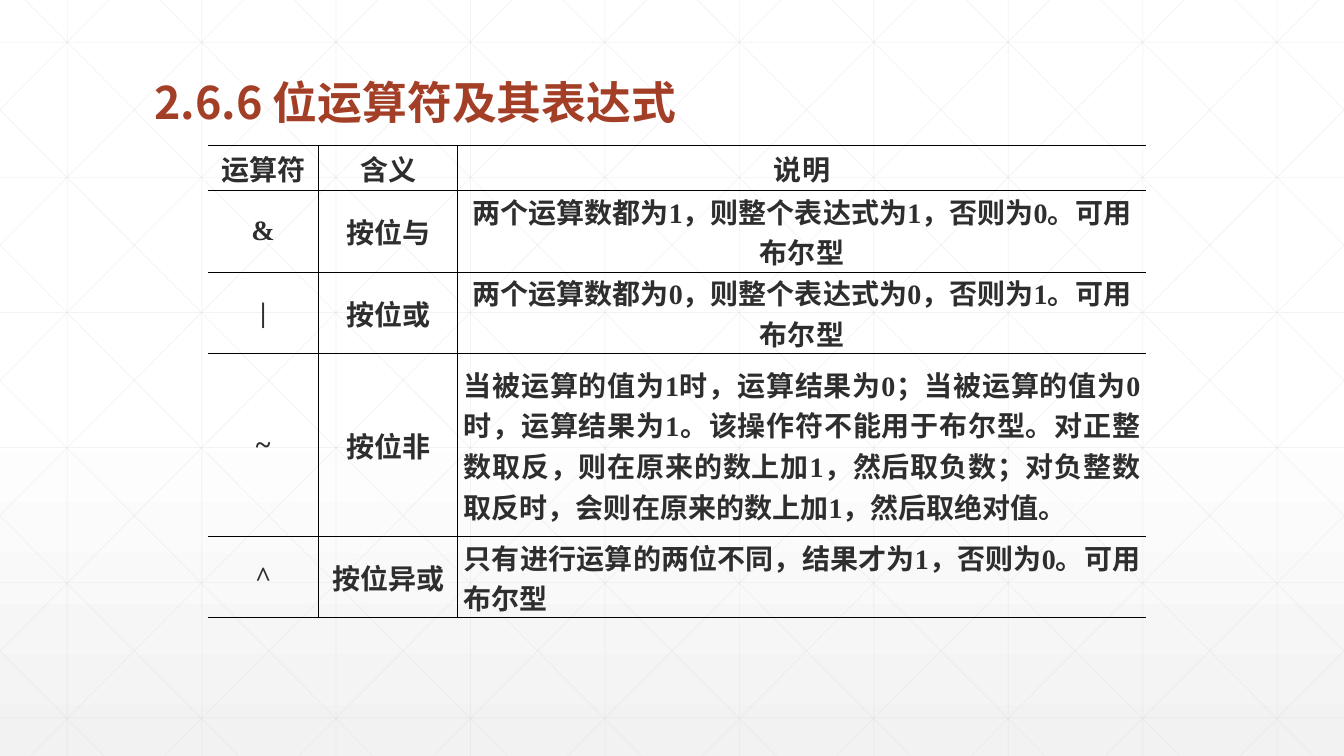
"""Build the slide on bitwise operators and their expressions."""
import copy
from dataclasses import dataclass
from typing import Any, Iterator

import lxml.etree
import pptx
import pptx.dml.color
import pptx.enum.shapes
import pptx.enum.text
import pptx.oxml.ns
import pptx.util

Inches = pptx.util.Inches
Pt = pptx.util.Pt
qn = pptx.oxml.ns.qn
Align = pptx.enum.text.PP_ALIGN
Anchor = pptx.enum.text.MSO_ANCHOR

WIDTH, HEIGHT = 13.33, 7.5
GRID_STEP = 4 / 3
DIAGONAL_RUN = 7.45
CJK_FONT = "Noto Sans CJK SC"
COLOURS = {
    "white": "FFFFFF",
    "haze": "F2F2F2",
    "grid": "D9D9D9",
    "title": "A43F27",
    "text": "2D2E2D",
    "rule": "000000",
}
TITLE_FORMAT = {"name": CJK_FONT, "size": Pt(32), "bold": True}
TABLE_FORMAT = {"name": "Times New Roman", "size": Pt(20), "bold": True}
CELL_FORMAT = {
    "vertical_anchor": Anchor.MIDDLE,
    "margin_left": Inches(0.06),
    "margin_right": Inches(0.06),
    "margin_top": 0,
    "margin_bottom": 0,
}
COLUMN_WIDTHS = [1.1, 1.38, 6.83]


@dataclass
class GridLine:
    """A background line between two points, in inches."""
    x1: float
    y1: float
    x2: float
    y2: float


@dataclass
class OperatorRow:
    """A table row describing one operator."""
    symbol: str
    meaning: str
    description: str
    height: float = 0.81
    description_align: Any = Align.CENTER


OPERATOR_ROWS = [
    OperatorRow("运算符", "含义", "说明", 0.45),
    OperatorRow("&", "按位与", "两个运算数都为1，则整个表达式为1，否则为0。可用布尔型"),
    OperatorRow("|", "按位或", "两个运算数都为0，则整个表达式为0，否则为1。可用布尔型"),
    OperatorRow(
        "~", "按位非",
        "当被运算的值为1时，运算结果为0；当被运算的值为0时，运算结果为1。"
        "该操作符不能用于布尔型。对正整数取反，则在原来的数上加1，然后取负数；"
        "对负整数取反时，会则在原来的数上加1，然后取绝对值。",
        1.81, Align.JUSTIFY),
    OperatorRow("^", "按位异或", "只有进行运算的两位不同，结果才为1，否则为0。可用布尔型",
                description_align=Align.JUSTIFY),
]


def rgb(name: str) -> pptx.dml.color.RGBColor:
    """Return a named colour."""
    return pptx.dml.color.RGBColor.from_string(COLOURS[name])


def apply_format(target: Any, values: dict[str, Any]) -> None:
    """Set each format value on the target."""
    for name, value in values.items():
        setattr(target, name, value)


def write_text(paragraph: Any, text: str, values: dict[str, Any], colour: str) -> None:
    """Write one formatted run with its East Asian font."""
    run = paragraph.add_run()
    run.text = text
    apply_format(run.font, values)
    run.font.color.rgb = rgb(colour)
    east_asian = lxml.etree.SubElement(run._r.get_or_add_rPr(), qn("a:ea"))
    east_asian.set("typeface", CJK_FONT)


def paint_background(slide: Any) -> None:
    """Fade the background from white to light grey."""
    fill = slide.background.fill
    fill.gradient()
    fill.gradient_angle = 270
    stop_list = slide.element.find(".//" + qn("a:gsLst"))
    stop_list.insert(0, copy.deepcopy(stop_list[0]))
    stops = [(0, "white"), (0.53, "white"), (1, "haze")]
    for stop, (position, colour) in zip(fill.gradient_stops, stops):
        stop.position = position
        stop.color.rgb = rgb(colour)


def grid_lines() -> Iterator[GridLine]:
    """Yield the upright, level and mirrored diagonal lines."""
    for index in range(10):
        x = GRID_STEP * (index + 0.5)
        yield GridLine(x, 0, x, HEIGHT)
    for index in range(6):
        y = 0.42 + 1.34 * index
        yield GridLine(0, y, WIDTH, y)
    slope = HEIGHT / DIAGONAL_RUN
    for index in range(-5, 10):
        start = 0.25 + GRID_STEP * index
        left, right = max(start, 0), min(start + DIAGONAL_RUN, WIDTH)
        top, bottom = (left - start) * slope, (right - start) * slope
        yield GridLine(left, top, right, bottom)
        yield GridLine(WIDTH - left, top, WIDTH - right, bottom)


def draw_grid_line(slide: Any, line: GridLine) -> None:
    """Draw one faint background line."""
    ends = [Inches(value) for value in (line.x1, line.y1, line.x2, line.y2)]
    connector = slide.shapes.add_connector(
        pptx.enum.shapes.MSO_CONNECTOR.STRAIGHT, *ends)
    connector.line.width = Pt(0.5)
    connector.line.color.rgb = rgb("grid")
    properties = connector.element.spPr
    colour = properties.find(".//" + qn("a:srgbClr"))
    lxml.etree.SubElement(colour, qn("a:alpha")).set("val", "30000")
    lxml.etree.SubElement(properties, qn("a:effectLst"))


def draw_title(slide: Any) -> None:
    """Add the section title."""
    title = slide.shapes.add_textbox(
        Inches(1.43), Inches(0.33), Inches(8.91), Inches(1))
    frame = title.text_frame
    frame.word_wrap = True
    frame.vertical_anchor = Anchor.BOTTOM
    frame.paragraphs[0].line_spacing = 0.9
    write_text(frame.paragraphs[0], "2.6.6 位运算符及其表达式", TITLE_FORMAT, "title")


def rule_cell(cell: Any, open_sides: set[str]) -> None:
    """Rule the cell's sides, leaving the open ones without a line."""
    properties = cell._tc.get_or_add_tcPr()
    for index, side in enumerate(("lnL", "lnR", "lnT", "lnB")):
        border = lxml.etree.Element(qn(f"a:{side}"), w=str(Pt(1)))
        if side in open_sides:
            lxml.etree.SubElement(border, qn("a:noFill"))
        else:
            fill = lxml.etree.SubElement(border, qn("a:solidFill"))
            lxml.etree.SubElement(fill, qn("a:srgbClr")).set("val", COLOURS["rule"])
        properties.insert(index, border)


def draw_operator_table(slide: Any) -> None:
    """Add the table of bitwise operators."""
    table = slide.shapes.add_table(
        len(OPERATOR_ROWS), len(COLUMN_WIDTHS), Inches(2.06), Inches(1.44),
        Inches(sum(COLUMN_WIDTHS)),
        Inches(sum(row.height for row in OPERATOR_ROWS))).table
    apply_format(table, {"first_row": False, "horz_banding": False})
    for column, width in zip(table.columns, COLUMN_WIDTHS):
        column.width = Inches(width)
    open_sides = [{"lnL"}, set(), {"lnR"}]
    for row, operator in zip(table.rows, OPERATOR_ROWS):
        row.height = Inches(operator.height)
        texts = (operator.symbol, operator.meaning, operator.description)
        aligns = (Align.CENTER, Align.CENTER, operator.description_align)
        for cell, text, align, sides in zip(row.cells, texts, aligns, open_sides):
            apply_format(cell, CELL_FORMAT)
            cell.fill.background()
            rule_cell(cell, sides)
            paragraph = cell.text_frame.paragraphs[0]
            paragraph.alignment = align
            write_text(paragraph, text, TABLE_FORMAT, "text")


def main() -> None:
    """Build and save the presentation."""
    presentation = pptx.Presentation()
    presentation.slide_width = Inches(WIDTH)
    presentation.slide_height = Inches(HEIGHT)
    slide = presentation.slides.add_slide(presentation.slide_layouts[6])
    paint_background(slide)
    for line in grid_lines():
        draw_grid_line(slide, line)
    draw_title(slide)
    draw_operator_table(slide)
    presentation.save("out.pptx")


if __name__ == "__main__":
    main()
